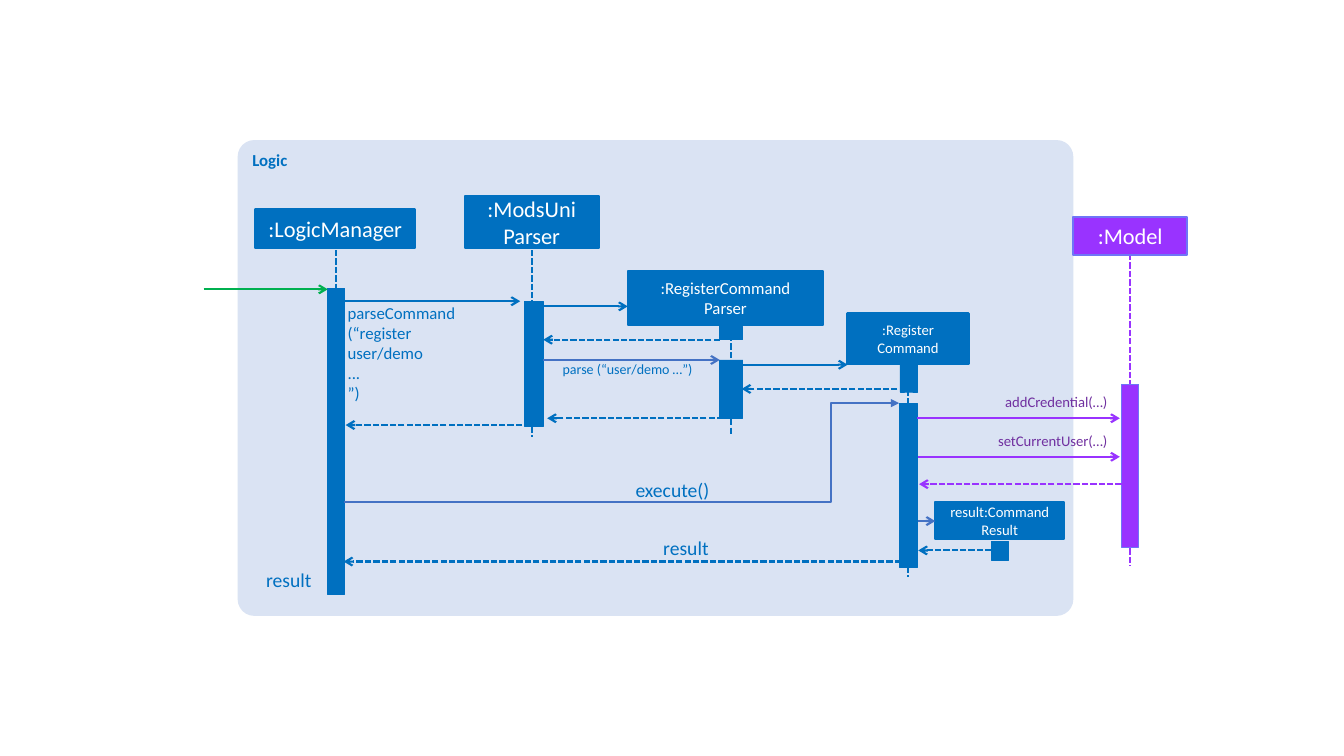
from pptx import Presentation
from pptx.dml.color import RGBColor
from pptx.enum.dml import MSO_LINE
from pptx.enum.shapes import MSO_CONNECTOR as CONN, MSO_SHAPE as SHAPE
from pptx.enum.text import MSO_ANCHOR, MSO_AUTO_SIZE, PP_ALIGN
from pptx.oxml.ns import qn
from pptx.util import Cm, Pt
from lxml.etree import SubElement
from copy import deepcopy

COLORS = {
    "panel": "DAE3F3", "blue": "0070C0", "steel": "4472C4", "green": "00B050",
    "violet": "9933FF", "edge": "6F75F7", "purple": "7030A0", "white": "FFFFFF",
}
C = {name: RGBColor.from_string(value) for name, value in COLORS.items()}


def write(sp, text, size, color, align, bold=False):
    tf = sp.text_frame
    tf.word_wrap = True
    tf.text = text
    for p in tf.paragraphs:
        p.alignment = align
        for r in p.runs:
            r.font.name, r.font.size, r.font.bold = "Calibri", Pt(size), bold
            r.font.color.rgb = C[color]
        # Line breaks take the size of the text around them
        for br in p._p.findall(qn("a:br")):
            br.append(deepcopy(p.runs[0]._r.rPr))
    return tf


def connect(kind, x1, y1, x2, y2, color, dashed=False, arrow=None):
    line = slide.shapes.add_connector(kind, Cm(x1), Cm(y1), Cm(x2), Cm(y2))
    line.line.color.rgb = C[color]
    line.line.width = Pt(1.5)
    if dashed:
        line.line.dash_style = MSO_LINE.SQUARE_DOT
    if arrow:
        SubElement(line.line._get_or_add_ln(), qn("a:tailEnd"), type=arrow)
    SubElement(line._element.spPr, qn("a:effectLst"))
    return line


prs = Presentation()
prs.slide_width, prs.slide_height = Cm(33.87), Cm(19.05)
slide = prs.slides.add_slide(prs.slide_layouts[6])

# Logic panel
panel = slide.shapes.add_shape(SHAPE.ROUNDED_RECTANGLE, Cm(5.99), Cm(3.53), Cm(21.06), Cm(11.99))
panel.adjustments[0] = 0.035
panel.shadow.inherit = False
panel.fill.solid()
panel.fill.fore_color.rgb = C["panel"]
panel.line.fill.background()
tf = write(panel, "Logic", 12, "blue", PP_ALIGN.LEFT, bold=True)
tf.vertical_anchor = MSO_ANCHOR.TOP

# Lifelines: x, top, bottom, colour
lifelines = [
    (8.46, 6.3, 13.51, "blue"),
    (13.41, 6.3, 11.02, "blue"),
    (18.42, 8.23, 10.97, "blue"),
    (22.89, 9.19, 14.55, "blue"),
    (28.47, 6.4, 14.27, "violet"),
]
for x, top, bottom, color in lifelines:
    connect(CONN.STRAIGHT, x, top, x, bottom, color, dashed=True)

# Participants and activation bars: left, top, width, height, fill, outline, text, size
blocks = [
    (6.43, 5.28, 4.04, 0.97, "blue", "blue", ":LogicManager", 16),
    (11.71, 4.95, 3.38, 1.3, "blue", "blue", ":ModsUni\vParser", 16),
    (15.82, 6.83, 4.93, 1.37, "blue", "blue", ":RegisterCommand\nParser", 12),
    (21.36, 7.9, 3.05, 1.27, "blue", "blue", ":Register\nCommand", 10.5),
    (23.57, 12.65, 3.25, 0.94, "blue", "blue", "result:Command Result", 10.5),
    (27.05, 5.46, 2.87, 0.97, "violet", "edge", ":Model", 16),
    (8.26, 7.26, 0.43, 7.72, "blue", "blue", "", 0),
    (13.21, 7.59, 0.48, 3.15, "blue", "blue", "", 0),
    (18.14, 8.23, 0.58, 0.33, "blue", "blue", "", 0),
    (18.14, 9.07, 0.58, 1.47, "blue", "blue", "", 0),
    (22.68, 9.19, 0.43, 0.69, "blue", "blue", "", 0),
    (22.66, 10.16, 0.46, 4.14, "blue", "blue", "", 0),
    (24.99, 13.64, 0.43, 0.48, "blue", "blue", "", 0),
    (28.27, 9.68, 0.43, 4.11, "violet", "edge", "", 0),
]
for left, top, width, height, fill, outline, text, size in blocks:
    sp = slide.shapes.add_shape(SHAPE.RECTANGLE, Cm(left), Cm(top), Cm(width), Cm(height))
    sp.shadow.inherit = False
    sp.fill.solid()
    sp.fill.fore_color.rgb = C[fill]
    sp.line.color.rgb = C[outline]
    sp.line.width = Pt(1.5 if text else 0.5)
    if text:
        tf = write(sp, text, size, "white", PP_ALIGN.CENTER)
        tf.vertical_anchor = MSO_ANCHOR.MIDDLE

# Messages: start x, end x, y, colour; those running left are dashed returns
messages = [
    (5.13, 8.26, 7.29, "green"),
    (8.66, 13.11, 7.59, "blue"),
    (13.56, 15.82, 7.72, "blue"),
    (18.14, 13.69, 8.56, "blue"),
    (13.69, 18.14, 9.07, "steel"),
    (18.54, 21.36, 9.19, "blue"),
    (22.83, 18.69, 9.8, "blue"),
    (18.44, 13.79, 10.54, "blue"),
    (13.16, 8.71, 10.71, "blue"),
    (23.11, 28.22, 10.54, "violet"),
    (23.14, 28.22, 11.51, "violet"),
    (28.27, 23.16, 12.2, "violet"),
    (23.14, 23.57, 13.13, "steel"),
    (24.99, 23.14, 13.87, "blue"),
    (22.71, 8.66, 14.15, "blue"),
]
for start, end, y, color in messages:
    connect(CONN.STRAIGHT, start, y, end, y, color, dashed=end < start, arrow="arrow")

# Bent execute() call
execute = connect(CONN.ELBOW, 8.66, 12.65, 22.66, 10.16, "steel", arrow="triangle")
guides = execute._element.spPr.find(qn("a:prstGeom")).get_or_add_avLst()
SubElement(guides, qn("a:gd"), name="adj1", fmla="val 87800")

# Message labels: left, top, width, height, text, size, colour, alignment
labels = [
    (8.76, 7.62, 3.96, 2.57, "parseCommand\n(“register \vuser/demo\v...\n”)", 12, "blue", PP_ALIGN.LEFT),
    (13.49, 9.09, 3.96, 0.43, "parse (“user/demo …”)", 10, "blue", PP_ALIGN.RIGHT),
    (15.49, 12.04, 2.39, 0.61, "execute()", 14, "blue", PP_ALIGN.RIGHT),
    (16.13, 13.51, 1.73, 0.61, "result", 14, "blue", PP_ALIGN.RIGHT),
    (5.74, 14.3, 2.11, 0.61, "result", 14, "blue", PP_ALIGN.RIGHT),
    (23.95, 9.91, 3.96, 0.46, "addCredential(…)", 10.5, "purple", PP_ALIGN.RIGHT),
    (23.95, 10.87, 3.96, 0.46, "setCurrentUser(…)", 10.5, "purple", PP_ALIGN.RIGHT),
]
for left, top, width, height, text, size, color, align in labels:
    sp = slide.shapes.add_textbox(Cm(left), Cm(top), Cm(width), Cm(height))
    tf = write(sp, text, size, color, align)
    tf.margin_left = tf.margin_right = tf.margin_top = tf.margin_bottom = 0
    tf.auto_size = MSO_AUTO_SIZE.SHAPE_TO_FIT_TEXT

prs.save("out.pptx")
